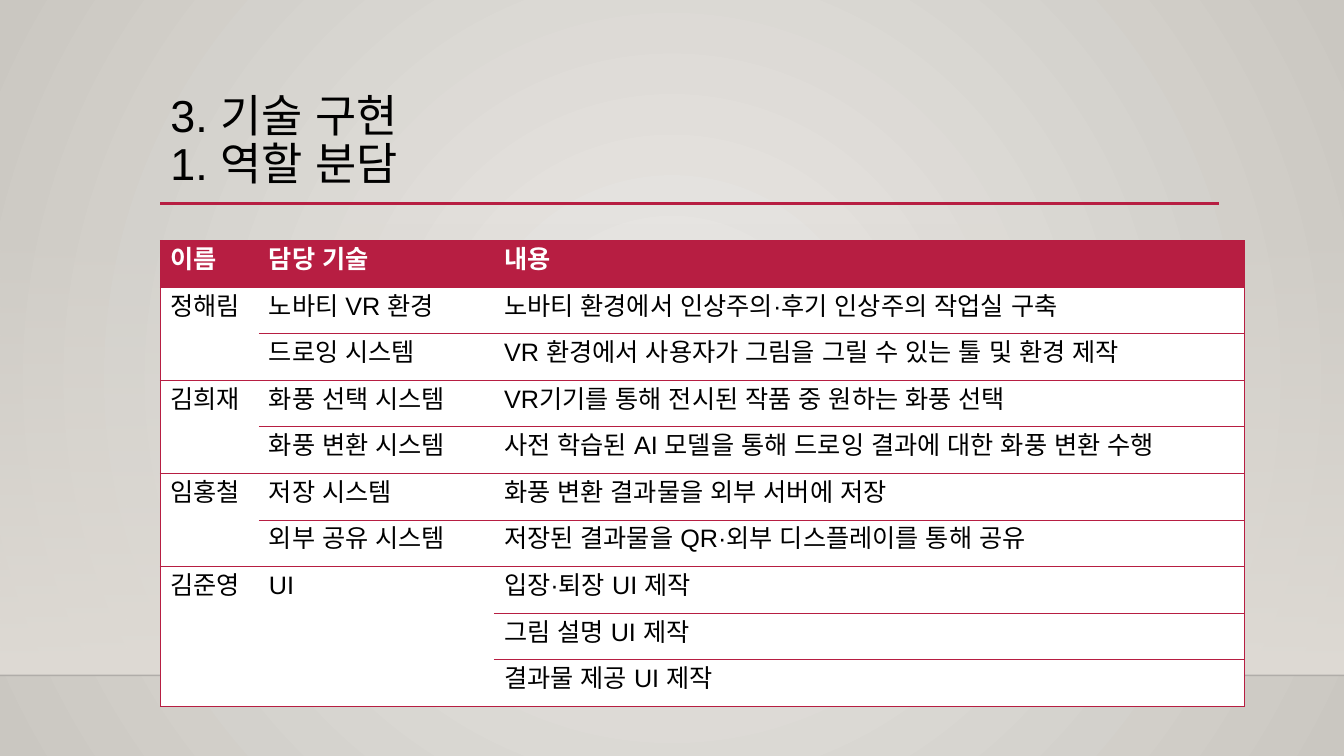
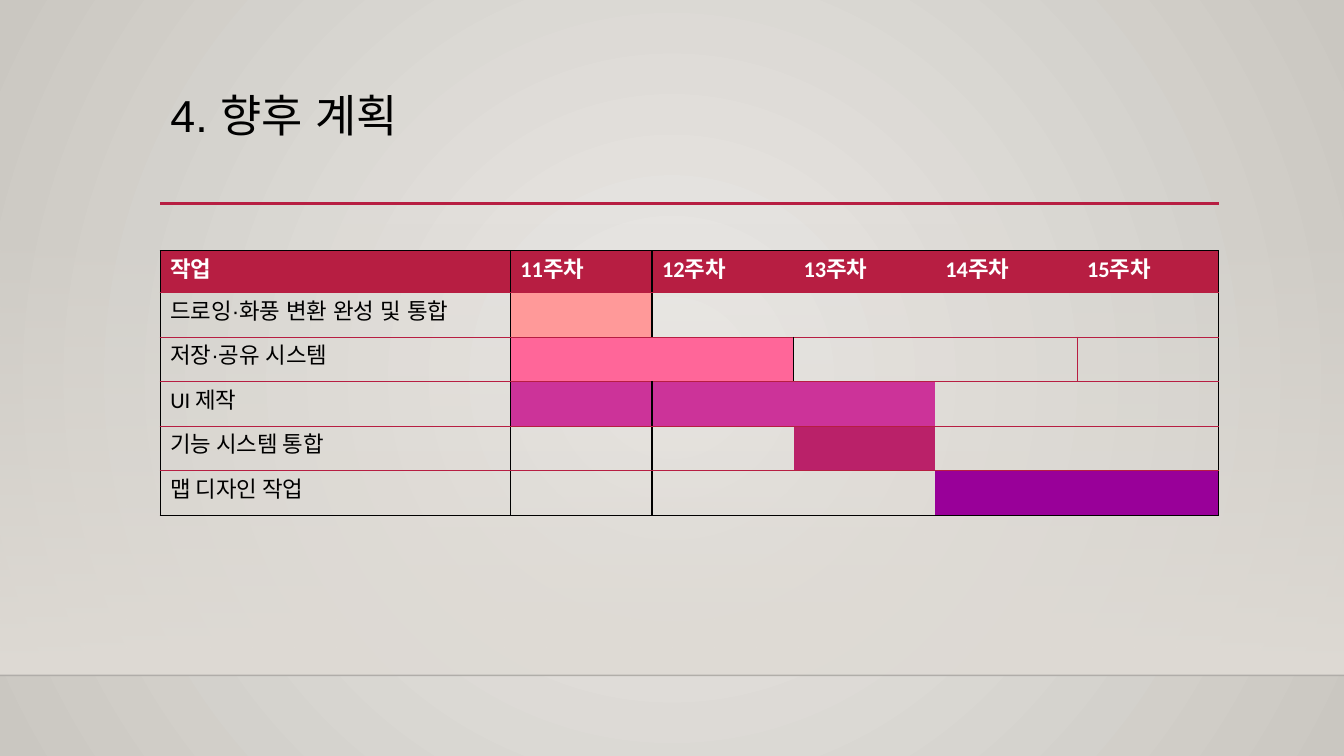
from pptx import Presentation
from pptx import util as u
from pptx.dml import color as c
from pptx.enum import shapes, text
from pptx.oxml import xmlchemy

RED, BLACK, WHITE = "B71E42", "000000", "FFFFFF"
THIN_RED, THIN_BLACK = (RED, 0.75), (BLACK, 1)
NO_STYLE = "{2D5ABB26-0587-4C30-8999-92F81FD0307C}"


def colour(value):
    return c.RGBColor.from_string(value)


def element(parent, tag, **attributes):
    child = xmlchemy.OxmlElement(tag)
    for name, value in attributes.items():
        child.set(name, str(value))
    parent.append(child)
    return child


def set_alpha(colour_element, percent):
    element(colour_element, "a:alpha", val=percent * 1000)


def write(paragraph, content, font="Arial", size=18, color=BLACK, bold=False):
    span = paragraph.add_run()
    span.text = content
    span.font.name = font
    span.font.size = u.Pt(size)
    span.font.bold = bold
    span.font.color.rgb = colour(color)
    element(span._r.get_or_add_rPr(), "a:ea", typeface=font)


def gradient(fill, first, last):
    fill.gradient()
    fill.gradient_angle = 270
    for stop, value in zip(fill.gradient_stops, (first, last)):
        stop.color.rgb = colour(value)


class Slides:
    width, height = 960, 540
    left, right = 114.5, 871
    floor = 482.4

    def __init__(self):
        self.deck = Presentation()
        self.deck.slide_width = u.Pt(self.width)
        self.deck.slide_height = u.Pt(self.height)
        master = self.deck.slide_master
        gradient(master.background.fill, "ECEAE7", "CAC7C1")
        linear = master.element.xpath(".//p:bg//a:lin")[0]
        parent = linear.getparent()
        parent.remove(linear)
        circle = element(parent, "a:path", path="circle")
        element(circle, "a:fillToRect", l=50000, t=50000, r=50000, b=50000)

    def add_page(self, title):
        self.page = self.deck.slides.add_slide(self.deck.slide_layouts[5])
        self.wall(159.1)
        floor_line = self.line(0, self.width, self.floor, "000001", 1)
        set_alpha(floor_line.element.xpath(".//a:srgbClr")[0], 20)
        self.line(self.left, self.right, 145.5, RED, 2.5)
        self.title(title)

    def wall(self, top):
        box = self.page.shapes.add_shape(
            shapes.MSO_SHAPE.RECTANGLE, 0, u.Pt(top),
            u.Pt(self.width), u.Pt(self.floor - top))
        box.shadow.inherit = False
        box.line.fill.background()
        gradient(box.fill, "DFDBD5", "DFDBD5")
        set_alpha(box.element.xpath(".//a:gs/a:srgbClr")[0], 0)

    def line(self, start, end, top, color, width):
        connector = self.page.shapes.add_connector(
            shapes.MSO_CONNECTOR.STRAIGHT,
            u.Pt(start), u.Pt(top), u.Pt(end), u.Pt(top))
        connector.line.color.rgb = colour(color)
        connector.line.width = u.Pt(width)
        element(connector.element.spPr, "a:effectLst")
        return connector

    def title(self, content):
        box = self.page.shapes.title
        box.left, box.top = u.Pt(self.left), u.Pt(63.4)
        box.width, box.height = u.Pt(756), u.Pt(82.5)
        frame = box.text_frame
        frame.word_wrap = True
        frame.auto_size = text.MSO_AUTO_SIZE.NONE
        frame.vertical_anchor = text.MSO_ANCHOR.TOP
        paragraph = frame.paragraphs[0]
        paragraph.alignment = text.PP_ALIGN.LEFT
        paragraph.line_spacing = 0.9
        for index, row in enumerate(content.split("\n")):
            if index:
                paragraph.add_line_break()
            write(paragraph, row, size=32)

    def table(self, top, widths, heights, rows, merges, vertical, horizontal,
              fills, size, font):
        frame = self.page.shapes.add_table(
            len(heights), len(widths), u.Pt(self.left), u.Pt(top),
            u.Pt(sum(widths)), u.Pt(sum(heights)))
        table = frame.table
        table.first_row = table.horz_banding = False
        frame.element.xpath(".//a:tableStyleId")[0].text = NO_STYLE
        for column, width in zip(table.columns, widths):
            column.width = u.Pt(width)
        for row, height in zip(table.rows, heights):
            row.height = u.Pt(height)
        for first, last in merges:
            table.cell(*first).merge(table.cell(*last))
        for row in range(len(heights)):
            for column in range(len(widths)):
                cell = table.cell(row, column)
                self.border(cell, "a:lnL", vertical(column, row))
                self.border(cell, "a:lnR", vertical(column + cell.span_width, row))
                self.border(cell, "a:lnT", horizontal(row, column))
                self.border(cell, "a:lnB", horizontal(row + cell.span_height, column))
                self.fill(cell, fills(row, column))
                spans = rows[row][column] if column < len(rows[row]) else ""
                if isinstance(spans, str):
                    spans = [(spans, font)]
                for content, name in spans:
                    if content:
                        write(cell.text_frame.paragraphs[0], content, font=name,
                              size=size, bold=row == 0,
                              color=BLACK if row else WHITE)

    def border(self, cell, side, style):
        properties = cell._tc.get_or_add_tcPr()
        if style is None:
            element(element(properties, side, w=0), "a:noFill")
            return
        color, width = style
        edge = element(properties, side, w=int(u.Pt(width)))
        element(element(edge, "a:solidFill"), "a:srgbClr", val=color)

    def fill(self, cell, color):
        if color is None:
            cell.fill.background()
        else:
            cell.fill.solid()
            cell.fill.fore_color.rgb = colour(color)


def roles(slides):
    slides.add_page("3. 기술 구현\n1. 역할 분담")
    rows = [
        ("이름", "담당 기술", "내용"),
        ("정해림", "노바티 VR 환경", "노바티 환경에서 인상주의·후기 인상주의 작업실 구축"),
        ("", "드로잉 시스템", "VR 환경에서 사용자가 그림을 그릴 수 있는 툴 및 환경 제작"),
        ("김희재", "화풍 선택 시스템", "VR기기를 통해 전시된 작품 중 원하는 화풍 선택"),
        ("", "화풍 변환 시스템", "사전 학습된 AI 모델을 통해 드로잉 결과에 대한 화풍 변환 수행"),
        ("임홍철", "저장 시스템", "화풍 변환 결과물을 외부 서버에 저장"),
        ("", "외부 공유 시스템", "저장된 결과물을 QR·외부 디스플레이를 통해 공유"),
        ("김준영", "UI", "입장·퇴장 UI 제작"),
        ("", "", "그림 설명 UI 제작"),
        ("", "", "결과물 제공 UI 제작"),
    ]
    merges = [((1, 0), (2, 0)), ((3, 0), (4, 0)), ((5, 0), (6, 0)),
              ((7, 0), (9, 0)), ((7, 1), (9, 1))]
    inside = {(row, column) for (first, column), (last, _) in merges
              for row in range(first + 1, last + 1)}
    slides.table(
        171.8, (70.4, 168, 536.4), [33.3] * len(rows), rows, merges,
        vertical=lambda edge, row: THIN_RED if edge in (0, 3) else None,
        horizontal=lambda edge, column: None if (edge, column) in inside else THIN_RED,
        fills=lambda row, column: WHITE if row else RED,
        size=18, font="Arial")


def schedule(slides):
    slides.add_page("4. 향후 계획")
    rows = [
        ["작업"] + [f"{week}주차" for week in range(11, 16)],
        [[("드로잉", "Calibri"), ("·화풍 변환 완성 및 통합", "Arial")]],
        [[("저장", "Calibri"), ("·공유 시스템", "Arial")]],
        ["UI 제작"],
        ["기능 시스템 통합"],
        ["맵 디자인 작업"],
    ]
    bars = {1: (1, 1, "FF9999"), 2: (1, 2, "FF6699"), 3: (1, 3, "CC3399"),
            4: (3, 3, "BA2169"), 5: (4, 5, "990099")}

    def vertical(edge, row):
        if edge in (0, 1, 6) or edge == (3 if row == 2 else 2):
            return THIN_BLACK
        return THIN_RED if (edge, row) == (5, 2) else None

    def fills(row, column):
        if row == 0:
            return RED
        first, last, color = bars[row]
        return color if first <= column <= last else None

    slides.table(
        179, [250] + [101.2] * 5, [30.2] + [31.8] * 5, rows, [((2, 1), (2, 2))],
        vertical=vertical,
        horizontal=lambda edge, column: THIN_BLACK if edge in (0, 6) else THIN_RED,
        fills=fills, size=16, font="Calibri")


def main():
    slides = Slides()
    roles(slides)
    schedule(slides)
    slides.deck.save("out.pptx")


if __name__ == "__main__":
    main()
